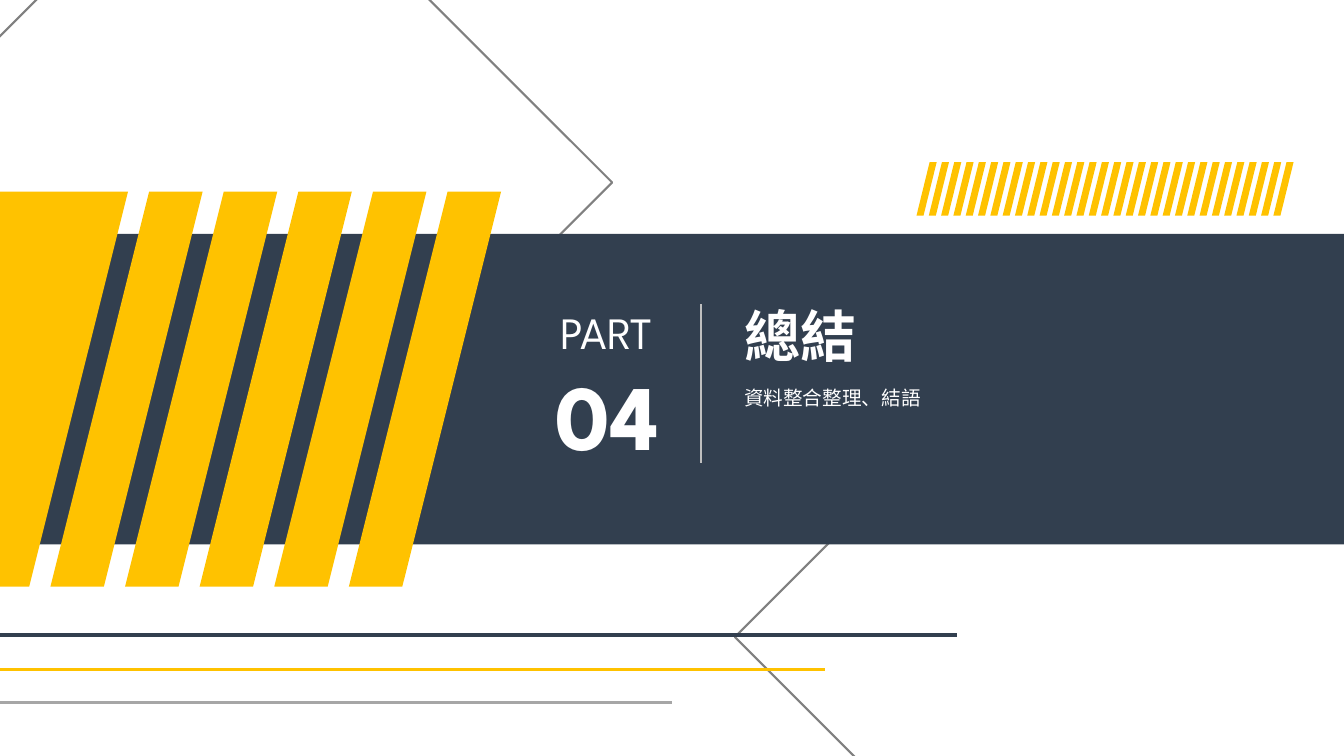
import pptx
import pptx.util
import pptx.dml.color
import pptx.enum.shapes
import pptx.enum.text
import pptx.oxml.ns
import lxml.etree

Inches, Pt = pptx.util.Inches, pptx.util.Pt
SHAPE = pptx.enum.shapes.MSO_SHAPE
ALIGN = pptx.enum.text.PP_ALIGN

NAVY, YELLOW, WHITE = "323F4F", "FFC200", "FFFFFF"
LATIN, CJK = "League Spartan", "Noto Sans CJK SC"

TITLE = [("總結", 40, True, CJK)]
SUMMARY = [("資料整合整理、結語", 14, False, LATIN)]
PART = [("PART", 32, False, LATIN), ("04", 66, True, LATIN)]

DIAMONDS = [(-0.35, -0.85), (8.39, 3.66)]
DIAMOND_SIDE = 5.32
RULES = [
    (0, 6.3, 9.49, 6.3, NAVY, 2.25),
    (0, 6.64, 8.18, 6.64, YELLOW, 2.25),
    (0, 6.97, 6.67, 6.97, "A6A6A6", 2.25),
    (6.95, 3.02, 6.95, 4.59, "BFBFBF", 1.5),
]
BIG_STRIPES, BIG_LEFT, BIG_PITCH = 5, 0.5, 0.74
SMALL_STRIPES, SMALL_LEFT, SMALL_SPAN = 30, 9.09, 3.54


def rgb(value):
    return pptx.dml.color.RGBColor.from_string(value)


def add_rect(s, x, y, w, h, fill=None, line=None):
    sp = s.shapes.add_shape(SHAPE.RECTANGLE, Inches(x), Inches(y), Inches(w), Inches(h))
    sp.shadow.inherit = False
    if fill:
        sp.fill.solid()
        sp.fill.fore_color.rgb = rgb(fill)
    else:
        sp.fill.background()
    if line:
        sp.line.color.rgb = rgb(line)
        sp.line.width = Pt(1.5)
    else:
        sp.line.fill.background()
    return sp


def add_stripe(s, left, top, width, height, skew):
    bottom = top + height
    corners = [(left + skew, top), (left + skew + width, top), (left + width, bottom), (left, bottom)]
    points = [(Inches(x), Inches(y)) for x, y in corners]
    builder = s.shapes.build_freeform(*points[0])
    builder.add_line_segments(points[1:], close=True)
    sp = builder.convert_to_shape()
    sp.shadow.inherit = False
    sp.fill.solid()
    sp.fill.fore_color.rgb = rgb(YELLOW)
    sp.line.fill.background()


def add_rule(s, x1, y1, x2, y2, color, width):
    line = s.shapes.add_connector(
        pptx.enum.shapes.MSO_CONNECTOR.STRAIGHT, Inches(x1), Inches(y1), Inches(x2), Inches(y2))
    line.line.color.rgb = rgb(color)
    line.line.width = Pt(width)
    lxml.etree.SubElement(line._element.spPr, pptx.oxml.ns.qn("a:effectLst"))


def write_text(sp, box, lines, align, wrap, spacing=1.0):
    sp.left, sp.top, sp.width, sp.height = [Inches(v) for v in box]
    tf = sp.text_frame
    tf.word_wrap = wrap
    tf.auto_size = pptx.enum.text.MSO_AUTO_SIZE.SHAPE_TO_FIT_TEXT
    tf.vertical_anchor = pptx.enum.text.MSO_ANCHOR.TOP
    for i, (text, size, bold, font) in enumerate(lines):
        p = tf.add_paragraph() if i else tf.paragraphs[0]
        p.text = text
        p.alignment = align
        p.line_spacing = spacing
        p.space_before = Pt(0)
        p.font.size = Pt(size)
        p.font.bold = bold
        p.font.color.rgb = rgb(WHITE)
        p.font.name = font
        ea = lxml.etree.SubElement(p.font._element, pptx.oxml.ns.qn("a:ea"))
        ea.set("typeface", CJK)


def main():
    prs = pptx.Presentation()
    prs.slide_width, prs.slide_height = Inches(13.33), Inches(7.5)
    s = prs.slides.add_slide(prs.slide_layouts[0])
    title, summary = s.shapes.title, s.placeholders[1]

    for x, y in DIAMONDS:
        add_rect(s, x, y, DIAMOND_SIDE, DIAMOND_SIDE, line="808080").rotation = 45
    add_rect(s, 0, 2.32, 13.33, 3.08, fill=NAVY)

    add_stripe(s, -1.13, 1.9, 1.42, 3.92, 0.98)
    for i in range(BIG_STRIPES):
        add_stripe(s, BIG_LEFT + i * BIG_PITCH, 1.9, 0.53, 3.92, 0.98)
    for i in range(SMALL_STRIPES):
        left = SMALL_LEFT + i * SMALL_SPAN / (SMALL_STRIPES - 1)
        add_stripe(s, left, 1.61, 0.07, 0.53, 0.13)
    for rule in RULES:
        add_rule(s, *rule)

    part = s.shapes.add_textbox(0, 0, 0, 0)
    write_text(part, (5.39, 2.97, 1.26, 1.75), PART, ALIGN.CENTER, False)
    write_text(title, (7.28, 2.94, 1.32, 0.77), TITLE, ALIGN.LEFT, False)
    write_text(summary, (7.28, 3.73, 5.23, 0.36), SUMMARY, ALIGN.LEFT, True, 1.2)
    for sp in (title, summary):
        s.shapes._spTree.append(sp._element)

    prs.save("out.pptx")


if __name__ == "__main__":
    main()
